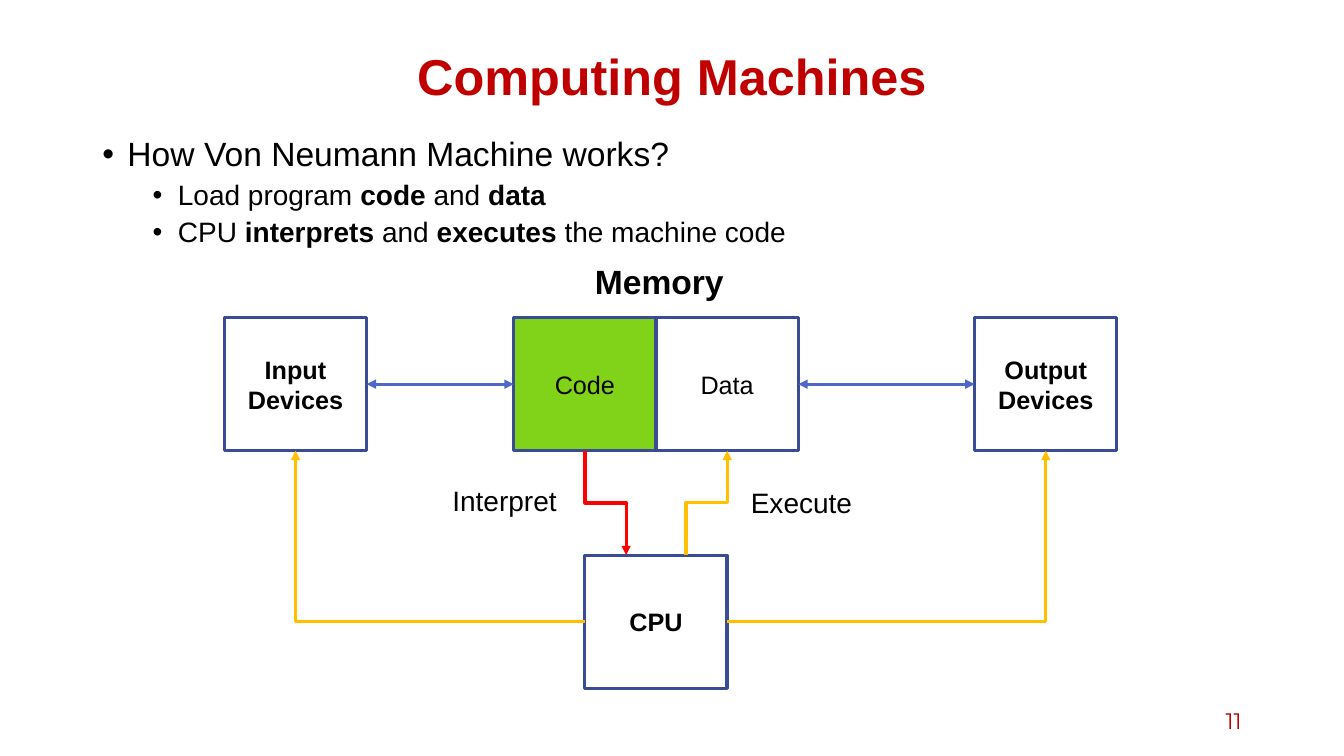
from lxml.etree import SubElement
from pptx import Presentation
from pptx.dml.color import RGBColor
from pptx.enum.shapes import MSO_CONNECTOR, MSO_SHAPE
from pptx.enum.text import MSO_ANCHOR, PP_ALIGN
from pptx.oxml.ns import qn
from pptx.util import Pt

BLACK, WHITE, CRIMSON = "000000", "FFFFFF", "C00000"
GREEN, NAVY, BLUE, RED, AMBER = "81D31A", "3A4C94", "4E67C8", "FF0000", "FFC000"


def color(hex_string):
    return RGBColor.from_string(hex_string)


class Diagram:
    """Draws on one slide in a shared style; all lengths are points."""
    font_name = "Arial"
    line_width = 2.25
    box_width, box_height = 101.6, 95.2

    def __init__(self, slide):
        self.shapes = slide.shapes

    def style(self, paragraph, size, bold=None, ink=BLACK, font_name=None):
        font = paragraph.font
        font.name, font.size, font.bold = font_name or self.font_name, Pt(size), bold
        font.color.rgb = color(ink)

    def frame(self, left, top, width, height, anchor=MSO_ANCHOR.TOP):
        area = self.shapes.add_textbox(Pt(left), Pt(top), Pt(width), Pt(height))
        area.text_frame.word_wrap = True
        area.text_frame.vertical_anchor = anchor
        return area.text_frame

    def text(self, words, place, size, align=PP_ALIGN.LEFT, anchor=MSO_ANCHOR.TOP, **look):
        paragraph = self.frame(*place, anchor).paragraphs[0]
        paragraph.text, paragraph.alignment = words, align
        self.style(paragraph, size, **look)

    def bullets(self, items, place):
        """Items are (level, text); parts between asterisks are bold."""
        frame = self.frame(*place)
        for index, (level, words) in enumerate(items):
            paragraph = frame.add_paragraph() if index else frame.paragraphs[0]
            paragraph.level = level
            paragraph.line_spacing = 0.9
            paragraph.space_before = Pt(5 if index else 0)
            properties = paragraph._p.get_or_add_pPr()
            properties.set("marL", str(Pt(18 + 36 * level)))
            properties.set("indent", str(Pt(-18)))
            SubElement(properties, qn("a:buFont"), typeface="Arial")
            SubElement(properties, qn("a:buChar"), char="•")
            self.style(paragraph, 20 if level else 24)
            for part, piece in enumerate(words.split("*")):
                if piece:
                    run = paragraph.add_run()
                    run.text = piece
                    if part % 2:
                        run.font.bold = True

    def box(self, words, left, top, fill=WHITE, bold=True):
        shape = self.shapes.add_shape(MSO_SHAPE.RECTANGLE, Pt(left), Pt(top),
                                      Pt(self.box_width), Pt(self.box_height))
        shape.shadow.inherit = False
        shape.fill.solid()
        shape.fill.fore_color.rgb = color(fill)
        shape.line.color.rgb = color(NAVY)
        shape.line.width = Pt(self.line_width)
        shape.text_frame.vertical_anchor = MSO_ANCHOR.MIDDLE
        paragraph = shape.text_frame.paragraphs[0]
        paragraph.text, paragraph.alignment = words, PP_ALIGN.CENTER
        self.style(paragraph, 18, bold)
        return shape

    def arrow(self, kind, start, end, ink, tips=("tailEnd",)):
        connector = self.shapes.add_connector(kind, *(Pt(v) for v in (*start, *end)))
        connector.line.color.rgb = color(ink)
        connector.line.width = Pt(self.line_width)
        for tip in tips:
            SubElement(connector.line._get_or_add_ln(), qn(f"a:{tip}"), type="triangle")
        SubElement(connector._element.spPr, qn("a:effectLst"))
        return connector

    def exchange(self, left_box, right_box):
        """Two-headed arrow between facing sides."""
        connector = self.arrow(MSO_CONNECTOR.STRAIGHT, (0, 0), (1, 1), BLUE,
                               ("headEnd", "tailEnd"))
        connector.begin_connect(left_box, 3)
        connector.end_connect(right_box, 1)

    def elbow(self, start, end, ink, preset, turn=0, flips=()):
        """Bent arrow; turn is its rotation in degrees."""
        (x1, y1), (x2, y2) = start, end
        width, height = abs(x2 - x1), abs(y2 - y1)
        if turn % 180:
            width, height = height, width
        left, top = (x1 + x2 - width) / 2, (y1 + y2 - height) / 2
        connector = self.arrow(MSO_CONNECTOR.ELBOW, (left, top),
                               (left + width, top + height), ink)
        properties = connector._element.spPr
        properties.find(qn("a:prstGeom")).set("prst", preset)
        transform = properties.find(qn("a:xfrm"))
        transform.set("rot", str(turn * 60000))
        for flip in flips:
            transform.set(flip, "1")


def main():
    presentation = Presentation()
    presentation.slide_width, presentation.slide_height = Pt(960), Pt(540)
    diagram = Diagram(presentation.slides.add_slide(presentation.slide_layouts[6]))

    diagram.text("Computing Machines", (66, 28.8, 828, 50.4), 36, PP_ALIGN.CENTER,
                 MSO_ANCHOR.MIDDLE, bold=True, ink=CRIMSON)
    diagram.bullets([
        (0, "How Von Neumann Machine works?"),
        (1, "Load program *code* and *data*"),
        (1, "CPU *interprets* and *executes* the machine code"),
    ], (66, 95, 828, 396.7))
    diagram.text("11", (678, 500.4, 216, 28.8), 16, PP_ALIGN.RIGHT, MSO_ANCHOR.MIDDLE,
                 ink=CRIMSON, font_name="Montserrat")

    width, height = diagram.box_width, diagram.box_height
    input_left, code_left, output_left = 160.3, 367, 696.2
    top_row, cpu_top = 226.8, 396.6
    data_left = code_left + width
    cpu_left = data_left - width / 2

    code = diagram.box("Code", code_left, top_row, GREEN, bold=False)
    data = diagram.box("Data", data_left, top_row, bold=False)
    diagram.box("CPU", cpu_left, cpu_top)
    input_devices = diagram.box("Input Devices", input_left, top_row)
    output_devices = diagram.box("Output Devices", output_left, top_row)
    diagram.exchange(input_devices, code)
    diagram.exchange(data, output_devices)

    row_bottom, cpu_middle = top_row + height, cpu_top + height / 2
    port_offset = 21.4
    diagram.elbow((code_left + width / 2, row_bottom), (data_left - port_offset, cpu_top),
                  RED, "bentConnector3", 270, ["flipH"])
    diagram.elbow((data_left + port_offset, cpu_top), (data_left + width / 2, row_bottom),
                  AMBER, "bentConnector3", 90, ["flipH", "flipV"])
    diagram.elbow((cpu_left, cpu_middle), (input_left + width / 2, row_bottom),
                  AMBER, "bentConnector2", 180)
    diagram.elbow((cpu_left + width, cpu_middle), (output_left + width / 2, row_bottom),
                  AMBER, "bentConnector2", flips=["flipV"])

    diagram.text("Memory", (417.8, 182.9, 140.4, 36), 24, bold=True)
    diagram.text("Interpret", (316, 342, 140.4, 31.7), 20)
    diagram.text("Execute", (529.2, 343.6, 140.4, 31.7), 20)

    presentation.save("out.pptx")


if __name__ == "__main__":
    main()
